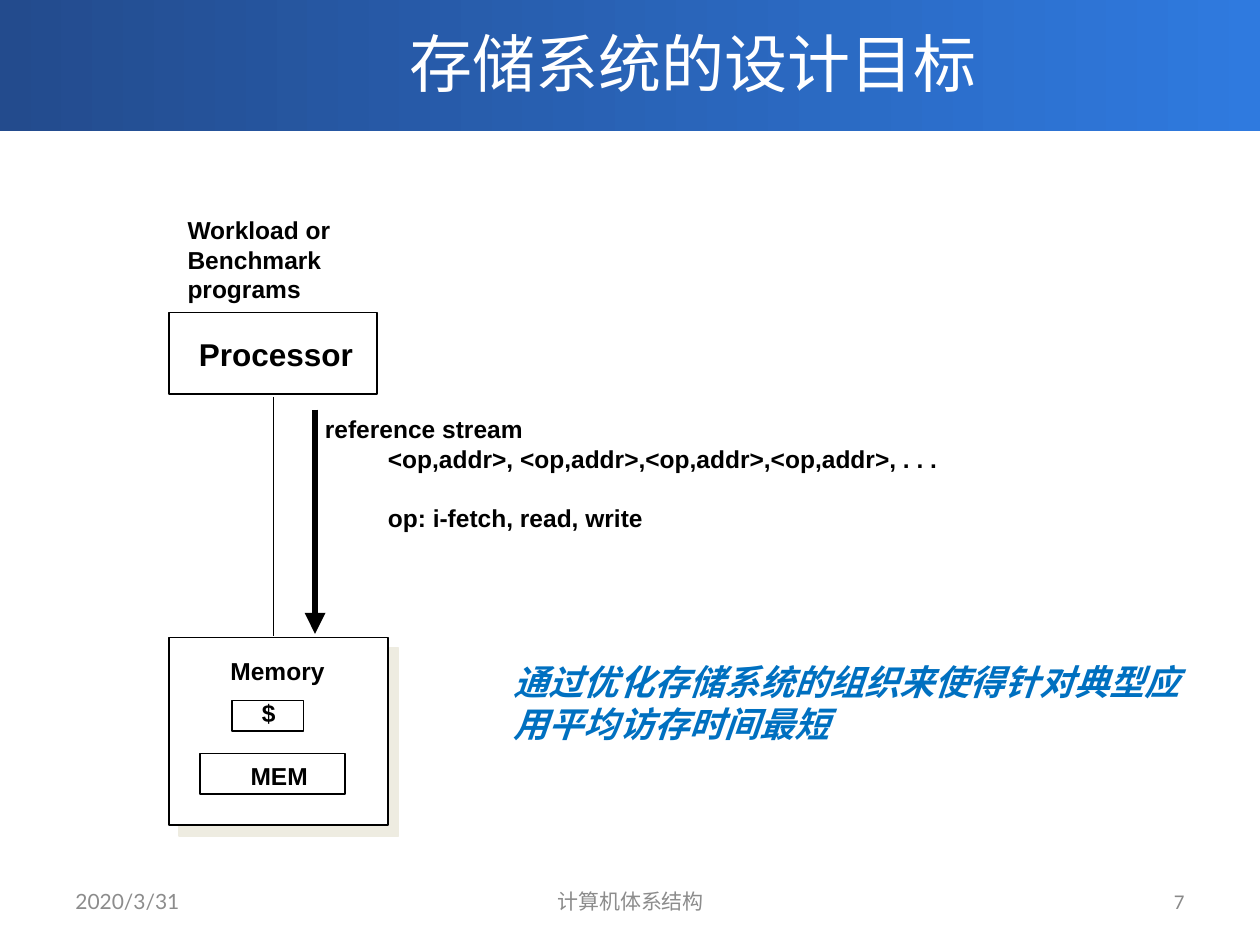
"""Build the slide on the design goal of a memory system."""
from lxml import etree
from pptx import Presentation
from pptx.dml.color import RGBColor
from pptx.enum.shapes import MSO_CONNECTOR, MSO_SHAPE
from pptx.enum.text import MSO_ANCHOR, MSO_AUTO_SIZE, PP_ALIGN
from pptx.oxml.ns import qn
from pptx.util import Inches, Pt

RECTANGLE, STRAIGHT = MSO_SHAPE.RECTANGLE, MSO_CONNECTOR.STRAIGHT
LEFT, CENTER, RIGHT = PP_ALIGN.LEFT, PP_ALIGN.CENTER, PP_ALIGN.RIGHT
TOP, MIDDLE = MSO_ANCHOR.TOP, MSO_ANCHOR.MIDDLE
FIT, FIXED = MSO_AUTO_SIZE.SHAPE_TO_FIT_TEXT, MSO_AUTO_SIZE.NONE
WIDTH, HEIGHT = 10, 7.5
MARGIN = 0.5
CJK_FONT = "Noto Sans CJK SC"
BLACK, WHITE, BLUE, GREY = "000000", "FFFFFF", "0070C0", "8C8C8C"

BAND = (0, -0.03, WIDTH, 1.07)
BAND_COLORS = ("234B8D", "2F7ADF")
TITLE = "存储系统的设计目标"
GOAL = "通过优化存储系统的组织来使得针对典型应用平均访存时间最短"

PROCESSOR = (1.34, 2.48, 1.65, 0.65)
MEMORY = (1.34, 5.06, 1.74, 1.49)
CACHE = (1.84, 5.56, 0.57, 0.24)
MAIN_MEMORY = (1.59, 5.98, 1.15, 0.32)
SHADOW_COLOR = "EEECE1"

BUS = (2.17, 3.15, 5.05)
STREAM_ARROW = (2.5, 3.25, 5.03)

LABELS = [
    (["Processor"], (1.48, 2.61, 1.43, 0.4), 18),
    (["$"], (1.98, 5.49, 0.31, 0.34), 14),
    (["MEM"], (1.89, 5.99, 0.66, 0.34), 14),
    (["Memory"], (1.73, 5.16, 0.95, 0.34), 14),
    (["Workload or", "Benchmark", "programs"], (1.39, 1.66, 1.34, 0.81), 14),
]
STREAM = [
    ("reference stream", 0, 0),
    ("<op,addr>, <op,addr>,<op,addr>,<op,addr>, . . .", 0.5, 0),
    ("op: i-fetch, read, write", 0.5, 17),
]
FOOTERS = [
    ("2020/3/31", MARGIN, 2.33, LEFT, "Lato", GREY),
    ("计算机体系结构", 3.42, 3.17, CENTER, "Lato", GREY),
    ("7", WIDTH - MARGIN - 2.33, 2.33, RIGHT, "Calibri", "898989"),
]


def rgb(color):
    return RGBColor.from_string(color)


def inches(lengths):
    return [Inches(length) for length in lengths]


def add_text(slide, lines, place, size=14, font="Arial", color=BLACK, bold=True,
             italic=False, align=LEFT, anchor=TOP, wrap=False, fit=FIT):
    """Write lines, each a string or a (string, indent, space before) tuple."""
    frame = slide.shapes.add_textbox(*inches(place)).text_frame
    frame.word_wrap, frame.auto_size = wrap, fit
    frame.vertical_anchor = anchor
    for index, line in enumerate(lines):
        words, indent, space = (line, 0, 0) if isinstance(line, str) else line
        paragraph = frame.paragraphs[0] if index == 0 else frame.add_paragraph()
        paragraph.alignment = align
        if indent:
            properties = paragraph._p.get_or_add_pPr()
            properties.set("marL", str(Inches(indent)))
            properties.set("lvl", "1")
        if space:
            paragraph.space_before = Pt(space)
        run = paragraph.add_run()
        run.text = words
        run.font.size, run.font.name = Pt(size), font
        run.font.bold, run.font.italic = bold, italic
        run.font.color.rgb = rgb(color)
        east_asian = etree.Element(qn("a:ea"), typeface=CJK_FONT)
        run.font._element.find(qn("a:latin")).addnext(east_asian)


def add_band(slide):
    band = slide.shapes.add_shape(RECTANGLE, *inches(BAND))
    band.shadow.inherit = False
    band.line.fill.background()
    band.fill.gradient()
    band.fill.gradient_angle = 0
    for stop, color in zip(band.fill.gradient_stops, BAND_COLORS):
        stop.color.rgb = rgb(color)


def add_box(slide, place, shadow=None):
    box = slide.shapes.add_shape(RECTANGLE, *inches(place))
    box.shadow.inherit = False
    box.fill.solid()
    box.fill.fore_color.rgb = rgb(WHITE)
    box.line.color.rgb = rgb(BLACK)
    box.line.width = Pt(1)
    if shadow:
        effects = box._element.spPr.find(qn("a:effectLst"))
        outer = etree.SubElement(effects, qn("a:outerShdw"), dist=str(Pt(8.5)),
                                 dir=str(45 * 60000), algn="ctr", rotWithShape="0")
        etree.SubElement(outer, qn("a:srgbClr"), val=shadow)


def add_vertical(slide, x, top, bottom, width, arrow=False):
    line = slide.shapes.add_connector(STRAIGHT, *inches((x, top, x, bottom)))
    line.line.color.rgb = rgb(BLACK)
    line.line.width = Pt(width)
    if arrow:
        etree.SubElement(line.line._get_or_add_ln(), qn("a:tailEnd"), type="triangle")
    etree.SubElement(line._element.spPr, qn("a:effectLst"))


def main():
    deck = Presentation()
    deck.slide_width, deck.slide_height = inches((WIDTH, HEIGHT))
    slide = deck.slides.add_slide(deck.slide_layouts[6])

    add_band(slide)
    add_box(slide, PROCESSOR)
    add_box(slide, MEMORY, shadow=SHADOW_COLOR)
    add_vertical(slide, *BUS, width=1)
    add_box(slide, CACHE)
    add_box(slide, MAIN_MEMORY)
    for lines, place, size in LABELS:
        add_text(slide, lines, place, size=size)
    add_vertical(slide, *STREAM_ARROW, width=4, arrow=True)
    add_text(slide, STREAM, (2.48, 3.24, 5.08, 1.04))
    add_text(slide, [GOAL], (3.98, 5.19, 5.61, 0.77), size=20, color=BLUE,
             italic=True, wrap=True)
    add_text(slide, [TITLE], (1, 0, 9, 0.99), size=36, font=CJK_FONT, color=WHITE,
             bold=False, align=CENTER, anchor=MIDDLE, wrap=True, fit=FIXED)
    for words, left, width, align, font, color in FOOTERS:
        add_text(slide, [words], (left, 6.95, width, 0.4), size=12, font=font,
                 color=color, bold=False, align=align, anchor=MIDDLE, wrap=True,
                 fit=FIXED)
    deck.save("out.pptx")


if __name__ == "__main__":
    main()
